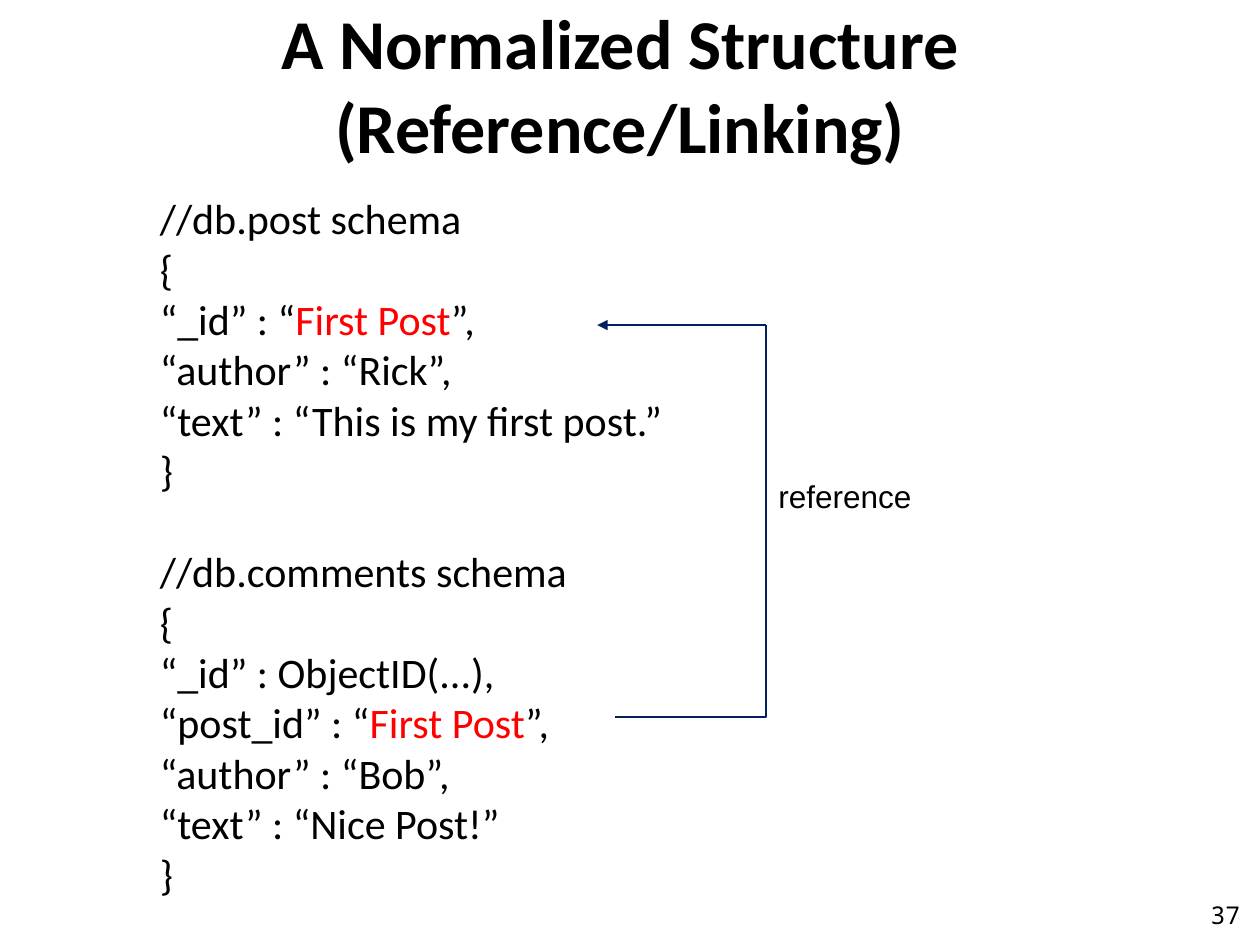
from dataclasses import dataclass

from lxml.etree import SubElement
from pptx import Presentation
from pptx.dml.color import RGBColor
from pptx.enum.shapes import MSO_CONNECTOR
from pptx.enum.text import MSO_ANCHOR, PP_ALIGN
from pptx.oxml.ns import qn
from pptx.util import Inches, Length, Pt

BLACK = RGBColor(0x00, 0x00, 0x00)
RED = RGBColor(0xFF, 0x00, 0x00)
NAVY = RGBColor(0x00, 0x20, 0x60)

# Grid of 100 columns by 75 rows, square cells
WIDE, HIGH = Inches(10), Inches(7.5)
COLS, ROWS = 100, 75


@dataclass
class Label:
    """A text box placed on the grid; "|" in a line toggles red text."""
    col: float
    row: float
    cols: float
    rows: float
    lines: list[str]
    size: int
    font: str = "Calibri"
    bold: bool = False
    align: PP_ALIGN = PP_ALIGN.LEFT
    anchor: MSO_ANCHOR = MSO_ANCHOR.TOP


POST = [
    "//db.post schema",
    "{",
    "“_id” : “|First Post|”,",
    "“author” : “Rick”,",
    "“text” : “This is my first post.”",
    "}",
]
NOTES = [
    "//db.comments schema",
    "{",
    "“_id” : ObjectID(...),",
    "“post_id” : “|First Post|”,",
    "“author” : “Bob”,",
    "“text” : “Nice Post!”",
    "}",
]

CODE = Label(11.7, 14.8, 83.3, 57.6, POST + NOTES, 24)
TITLE = Label(5.8, 0, 86.8, 13.3, ["A Normalized Structure\v(Reference/Linking)"],
              40, bold=True, align=PP_ALIGN.CENTER, anchor=MSO_ANCHOR.MIDDLE)
PAGE = Label(78.6, 70.5, 20.8, 4.2, ["37"], 14, "Noto Sans Mono",
             align=PP_ALIGN.RIGHT, anchor=MSO_ANCHOR.MIDDLE)
LINK = Label(60.8, 37.4, 13.3, 4, ["reference"], 18, "Arial")


def x(col: float) -> Length:
    return Length(round(WIDE * col / COLS))


def y(row: float) -> Length:
    return Length(round(HIGH * row / ROWS))


def write(slide, label: Label):
    box = slide.shapes.add_textbox(x(label.col), y(label.row),
                                   x(label.cols), y(label.rows))
    frame = box.text_frame
    frame.word_wrap = True
    frame.vertical_anchor = label.anchor
    for i, line in enumerate(label.lines):
        para = frame.add_paragraph() if i else frame.paragraphs[0]
        para.alignment = label.align
        parts = line.split("|")
        if len(parts) == 1:
            para.text = line
            para.font.color.rgb = BLACK
        else:
            for j, part in enumerate(parts):
                run = para.add_run()
                run.text = part
                run.font.color.rgb = RED if j % 2 else BLACK
        para.font.size = Pt(label.size)
        para.font.name = label.font
        para.font.bold = label.bold
    return frame


def ink(line) -> None:
    line.color.rgb = NAVY
    line.width = Pt(0.75)


def arrow(slide, start: float, end: float, row: float) -> None:
    link = slide.shapes.add_connector(MSO_CONNECTOR.STRAIGHT,
                                      x(start), y(row), x(end), y(row))
    ink(link.line)
    props = link._element.spPr
    SubElement(props.find(qn("a:ln")), qn("a:tailEnd"), type="triangle")
    SubElement(props, qn("a:effectLst"))


def bend(slide, points: list[tuple[float, float]]) -> None:
    spots = [(x(col), y(row)) for col, row in points]
    pen = slide.shapes.build_freeform(*spots[0])
    pen.add_line_segments(spots[1:], close=False)
    shape = pen.convert_to_shape()
    shape.shadow.inherit = False
    shape.fill.background()
    ink(shape.line)


def main() -> None:
    deck = Presentation()
    deck.slide_width, deck.slide_height = WIDE, HIGH
    slide = deck.slides.add_slide(deck.slide_layouts[6])

    # Two schemas, one line apart
    code = write(slide, CODE)
    code.paragraphs[len(POST)].space_before = Pt(29)

    # Title and page number
    write(slide, TITLE)
    write(slide, PAGE)

    # Reference from the comment's post_id up to the post's _id
    side, top, base = 60.8, 25.8, 56.9
    arrow(slide, side, 47.4, top)
    bend(slide, [(side, top), (side, base), (48.8, base)])
    write(slide, LINK)

    deck.save("out.pptx")


if __name__ == "__main__":
    main()
